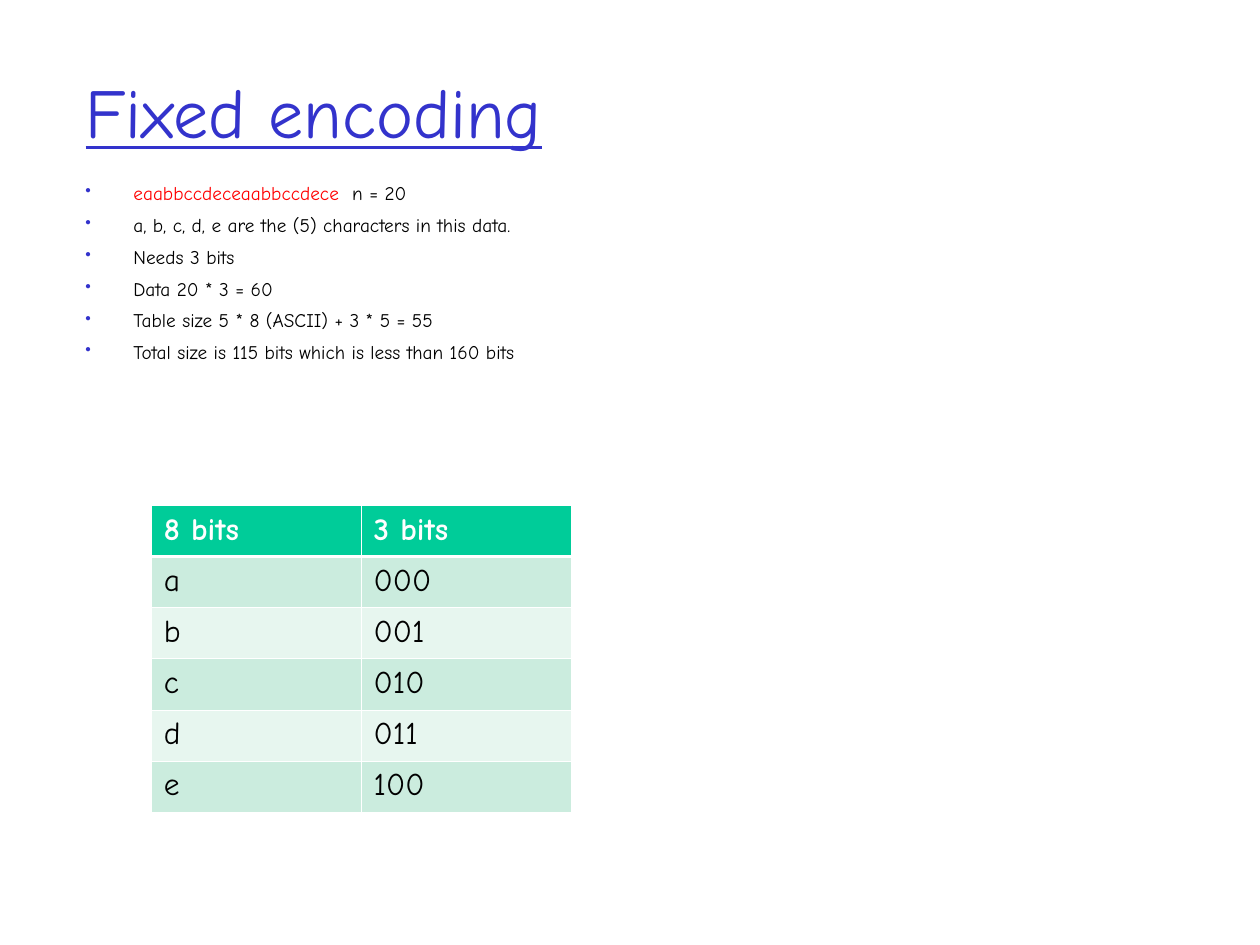
from dataclasses import dataclass

from lxml.etree import SubElement
from pptx import Presentation
from pptx.dml.color import RGBColor
from pptx.enum.text import MSO_ANCHOR, MSO_AUTO_SIZE, PP_ALIGN
from pptx.oxml.ns import qn
from pptx.util import Cm, Pt


@dataclass(frozen=True)
class Theme:
    font: str = "Comic Neue"
    accent: str = "3333CC"
    sample: str = "FF0000"
    ink: str = "000000"
    white: str = "FFFFFF"
    header: str = "00CC99"
    bands: tuple = ("CBECDE", "E7F6EF")
    title_size: float = 40
    body_size: float = 11
    table_size: float = 18
    thin_line: float = 0.45
    thick_line: float = 1.47


class SlideBuilder:
    def __init__(self, slide, theme):
        self.slide = slide
        self.theme = theme

    def add_run(self, paragraph, text, size, color, bold=False, underline=False):
        run = paragraph.add_run()
        run.text = text
        run.font.name = self.theme.font
        run.font.size = Pt(size)
        run.font.bold = bold
        run.font.underline = underline
        run.font.color.rgb = RGBColor.from_string(color)

    def add_title(self, text, left, top, width, height):
        title = self.slide.shapes.title
        title.left, title.top = Cm(left), Cm(top)
        title.width, title.height = Cm(width), Cm(height)
        frame = title.text_frame
        frame.auto_size = MSO_AUTO_SIZE.NONE
        frame.vertical_anchor = MSO_ANCHOR.MIDDLE
        heading = frame.paragraphs[0]
        heading.alignment = PP_ALIGN.LEFT
        self.add_run(heading, text, self.theme.title_size, self.theme.accent,
                     underline=True)

    def set_bullet(self, paragraph):
        indent = Cm(0.97)
        properties = paragraph._p.get_or_add_pPr()
        properties.set("marL", str(indent))
        properties.set("indent", str(-indent))
        color = SubElement(properties, qn("a:buClr"))
        SubElement(color, qn("a:srgbClr"), val=self.theme.accent)
        SubElement(properties, qn("a:buSzPct"), val="85000")
        SubElement(properties, qn("a:buChar"), char="•")

    def add_bullets(self, points, left, top, width, height):
        box = self.slide.shapes.add_textbox(Cm(left), Cm(top), Cm(width), Cm(height))
        frame = box.text_frame
        frame.word_wrap = True
        for index, point in enumerate(points):
            paragraph = frame.add_paragraph() if index else frame.paragraphs[0]
            self.set_bullet(paragraph)
            paragraph.space_before = Pt(5 if index else 0)
            for text, color in point:
                self.add_run(paragraph, text, self.theme.body_size, color)

    def set_borders(self, cell, row):
        thin, thick = self.theme.thin_line, self.theme.thick_line
        widths = {
            "a:lnL": thin,
            "a:lnR": thin,
            "a:lnT": thick if row == 1 else thin,
            "a:lnB": thick if row == 0 else thin,
        }
        for side, width in widths.items():
            line = SubElement(cell._tc.get_or_add_tcPr(), qn(side), w=str(Pt(width)))
            fill = SubElement(line, qn("a:solidFill"))
            SubElement(fill, qn("a:srgbClr"), val=self.theme.white)

    def add_table(self, rows, left, top, width, row_height):
        table = self.slide.shapes.add_table(
            len(rows), len(rows[0]), Cm(left), Cm(top),
            Cm(width), Cm(row_height * len(rows))).table
        for row, values in enumerate(rows):
            is_header = row == 0
            fill = self.theme.header if is_header else self.theme.bands[(row - 1) % 2]
            color = self.theme.white if is_header else self.theme.ink
            for column, value in enumerate(values):
                cell = table.cell(row, column)
                self.set_borders(cell, row)
                cell.fill.solid()
                cell.fill.fore_color.rgb = RGBColor.from_string(fill)
                self.add_run(cell.text_frame.paragraphs[0], value,
                             self.theme.table_size, color, bold=is_header)


def main():
    theme = Theme()
    deck = Presentation()
    deck.slide_width, deck.slide_height = Cm(25.4), Cm(19.05)
    title_only = deck.slide_layouts[5]
    builder = SlideBuilder(deck.slides.add_slide(title_only), theme)

    # Heading
    builder.add_title("Fixed encoding", 1.47, 0.64, 21.59, 3.18)

    # Size calculation
    calculation = [
        "a, b, c, d, e are the (5) characters in this data.",
        "Needs 3 bits",
        "Data 20 * 3 = 60",
        "Table size 5 * 8 (ASCII) + 3 * 5 = 55",
        "Total size is 115 bits which is less than 160 bits",
    ]
    sample = [("eaabbccdeceaabbccdece", theme.sample), ("  n = 20", theme.ink)]
    points = [sample] + [[(step, theme.ink)] for step in calculation]
    builder.add_bullets(points, 1.47, 3.53, 21.59, 4.11)

    # Code table: each character gets its index in three bits
    codes = [(char, f"{index:03b}") for index, char in enumerate("abcde")]
    builder.add_table([("8 bits", "3 bits")] + codes, 3.05, 10.19, 8.46, 1.03)

    deck.save("out.pptx")


if __name__ == "__main__":
    main()
